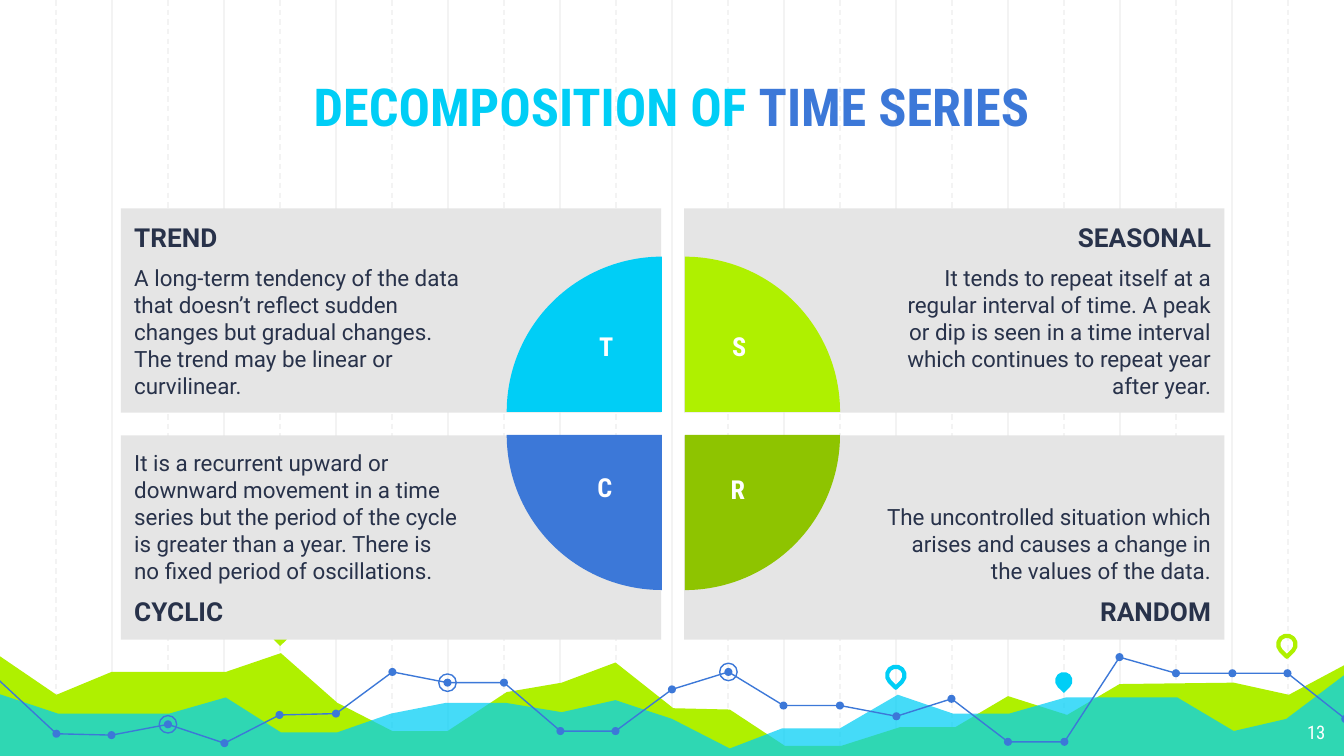
from dataclasses import dataclass

from lxml.etree import SubElement
from pptx import Presentation
from pptx.dml.color import RGBColor
from pptx.enum.dml import MSO_LINE_DASH_STYLE as DASH
from pptx.enum.shapes import MSO_CONNECTOR, MSO_SHAPE as SHAPE
from pptx.enum.text import MSO_ANCHOR as ANCHOR, PP_ALIGN as ALIGN
from pptx.oxml.ns import qn
from pptx.util import Inches, Pt


@dataclass(frozen=True)
class Theme:
    cyan: str = "00CEF6"
    blue: str = "3C78D8"
    lime: str = "AFF000"
    olive: str = "8EC400"
    panel: str = "E5E5E5"
    grid: str = "F3F3F3"
    ink: str = "28324A"
    white: str = "FFFFFF"
    body_font: str = "Roboto"
    head_font: str = "Roboto Condensed"
    title: int = 28
    heading: int = 14
    body: int = 12
    number: int = 10
    thin: float = 0.75
    thick: float = 2.25


class Deck:
    """Draws styled elements on the current slide."""

    def __init__(self, theme):
        self.theme = theme
        self.prs = Presentation()
        self.prs.slide_width, self.prs.slide_height = Inches(10), Inches(5.625)
        self.s = self.prs.slides.add_slide(self.prs.slide_layouts[6])

    def style(self, sp, fill=None, line=None, width=0.75, alpha=None):
        sp.shadow.inherit = False
        if fill:
            sp.fill.solid()
            sp.fill.fore_color.rgb = RGBColor.from_string(fill)
            if alpha:
                color = sp._element.spPr.find(qn("a:solidFill"))[0]
                SubElement(color, qn("a:alpha")).set("val", str(alpha * 1000))
        else:
            sp.fill.background()
        if line:
            sp.line.color.rgb = RGBColor.from_string(line)
            sp.line.width = Pt(width)
        else:
            sp.line.fill.background()
        return sp

    def shape(self, kind, x, y, w, h, rotation=0, **look):
        sp = self.s.shapes.add_shape(kind, Inches(x), Inches(y), Inches(w), Inches(h))
        sp.rotation = rotation
        return self.style(sp, **look)

    def dot(self, center, size, **look):
        x, y = center
        return self.shape(SHAPE.OVAL, x - size / 2, y - size / 2, size, size, **look)

    def pin(self, x, y, **look):
        return self.shape(SHAPE.TEAR, x, y, 0.13, 0.13, rotation=135, **look)

    def outline(self, points, close=True, **look):
        points = [(Inches(x), Inches(y)) for x, y in points]
        builder = self.s.shapes.build_freeform(*points[0])
        builder.add_line_segments(points[1:], close=close)
        return self.style(builder.convert_to_shape(), **look)

    def grid_line(self, x, dashed):
        line = self.s.shapes.add_connector(
            MSO_CONNECTOR.STRAIGHT, Inches(x), Inches(0), Inches(x), Inches(5.65))
        line.line.color.rgb = RGBColor.from_string(self.theme.grid)
        line.line.width = Pt(self.theme.thin)
        if dashed:
            line.line.dash_style = DASH.DASH
        SubElement(line._element.spPr, qn("a:effectLst"))

    def fill_text(self, sp, paragraphs, font, align=ALIGN.LEFT, anchor=ANCHOR.TOP,
                  insets=(0.1, 0.1, 0.1, 0.1)):
        tf = sp.text_frame
        tf.word_wrap = True
        tf.vertical_anchor = anchor
        tf.margin_left, tf.margin_top, tf.margin_right, tf.margin_bottom = map(Inches, insets)
        for i, runs in enumerate(paragraphs):
            p = tf.add_paragraph() if i else tf.paragraphs[0]
            p.alignment = align
            if i:
                p.space_before = p.space_after = Pt(6)
            for text, size, color, bold in runs:
                r = p.add_run()
                r.text = text
                r.font.name, r.font.size, r.font.bold = font, Pt(size), bold
                r.font.color.rgb = RGBColor.from_string(color)

    def text(self, x, y, w, h, runs, **layout):
        sp = self.s.shapes.add_textbox(Inches(x), Inches(y), Inches(w), Inches(h))
        self.fill_text(sp, [runs], self.theme.head_font, **layout)

    def quadrant(self, letter, heading, body, color, right, bottom, rotation, spot):
        t = self.theme
        panel = self.shape(SHAPE.RECTANGLE, 5.09 if right else 0.9,
                           3.24 if bottom else 1.55, 4.02, 1.52, fill=t.panel)
        paragraphs = [[(heading, t.heading, t.ink, True)], [(body, t.body, t.ink, False)]]
        self.fill_text(panel, paragraphs[::-1] if bottom else paragraphs, t.body_font,
                       align=ALIGN.RIGHT if right else ALIGN.LEFT,
                       anchor=ANCHOR.BOTTOM if bottom else ANCHOR.TOP,
                       insets=(1.5, 0.1, 0.1, 0.1) if right else (0.1, 0.1, 1.5, 0.1))
        pie = self.shape(SHAPE.PIE, 3.94 if right else 3.77, 2.08 if bottom else 1.91,
                         2.31, 2.31, rotation=rotation, fill=color)
        pie.adjustments[0], pie.adjustments[1] = 108, 162
        self.text(*spot, 0.28, 0.48, [(letter, t.heading, t.white, True)],
                  align=ALIGN.CENTER, insets=(0, 0.06, 0, 0.05))


LIME_AREA = [
    (-0.02, 4.87), (0.42, 5.17), (0.83, 5), (1.68, 5), (2.09, 4.86), (2.51, 5.23),
    (2.92, 5.44), (3.33, 5.44), (3.77, 5.15), (4.18, 5.08), (4.58, 4.93), (5.01, 5.27),
    (5.43, 5.28), (5.84, 5.55), (6.26, 5.55), (6.7, 5.41), (7.11, 5.41), (7.5, 5.18),
    (7.94, 5.32), (8.33, 5.09), (9.18, 5.08), (9.59, 5.17), (10.02, 4.94),
    (10.01, 5.64), (-0.03, 5.64)]
CYAN_AREA = [
    (-0.02, 5.16), (0.43, 5.31), (1.26, 5.31), (1.68, 5.19), (2.09, 5.45), (2.51, 5.45),
    (2.91, 5.31), (3.32, 5.23), (3.76, 5.23), (4.18, 5.3), (4.58, 5.21), (5, 5.35),
    (5.43, 5.57), (5.82, 5.42), (6.25, 5.42), (6.68, 5.17), (7.09, 5.31), (7.51, 5.31),
    (7.93, 5.19), (8.76, 5.19), (9.18, 5.44), (9.57, 5.35), (10.02, 5.01),
    (10.02, 5.65), (-0.03, 5.65)]
TREND_LINE = [
    (-0.01, 5.06), (0.42, 5.46), (0.83, 5.47), (1.25, 5.39), (1.67, 5.53), (2.08, 5.32),
    (2.5, 5.31), (2.92, 5), (3.33, 5.08), (3.75, 5.08), (4.17, 5.44), (4.58, 5.44),
    (5, 5.13), (5.42, 5), (5.83, 5.25), (6.25, 5.25), (6.67, 5.33), (7.08, 5.2),
    (7.5, 5.52), (7.92, 5.52), (8.33, 4.89), (8.75, 5.01), (9.17, 5.01), (9.58, 5.01),
    (10.01, 5.35)]
RINGED = (3, 8, 13)


def main():
    t = Theme()
    deck = Deck(t)

    for i in range(1, 24):
        deck.grid_line(i * 10 / 24, dashed=i % 2 == 1)
    deck.outline(LIME_AREA, fill=t.lime)
    deck.outline(CYAN_AREA, fill=t.cyan, alpha=73)
    deck.pin(2.02, 4.65, fill=t.lime)
    deck.pin(6.6, 4.96, line=t.cyan, width=t.thick)
    deck.pin(7.85, 5, fill=t.cyan)
    deck.pin(9.51, 4.73, line=t.lime, width=t.thick)
    deck.outline(TREND_LINE, close=False, line=t.blue, width=t.thin)
    for point in TREND_LINE[1:]:
        deck.dot(point, 0.06, fill=t.blue)
    for i in RINGED:
        deck.dot(TREND_LINE[i], 0.13, line=t.blue, width=t.thin)

    deck.text(1.17, 0.43, 7.65, 0.78,
              [("DECOMPOSITION OF ", t.title, t.cyan, True),
               ("TIME SERIES", t.title, t.blue, True)],
              align=ALIGN.CENTER, anchor=ANCHOR.MIDDLE, insets=(0.1, 0.1, 0.1, 0.17))
    deck.text(9.36, 5.28, 0.6, 0.35, [("13", t.number, t.white, False)], align=ALIGN.RIGHT)

    deck.quadrant("T", "TREND", "A long-term tendency of the data that doesn’t reflect sudden "
                  "changes but gradual changes. The trend may be linear or curvilinear.",
                  t.cyan, right=False, bottom=False, rotation=0, spot=(4.37, 2.4))
    deck.quadrant("S", "SEASONAL", "It tends to repeat itself at a regular interval of time. "
                  "A peak or dip is seen in a time interval which continues to repeat year "
                  "after year.",
                  t.lime, right=True, bottom=False, rotation=90, spot=(5.36, 2.4))
    deck.quadrant("C", "CYCLIC", "It is a recurrent upward or downward movement in a time "
                  "series but the period of the cycle is greater than a year. There is no "
                  "fixed period of oscillations.",
                  t.blue, right=False, bottom=True, rotation=270, spot=(4.36, 3.45))
    deck.quadrant("R", "RANDOM", "The uncontrolled situation which arises and causes a change "
                  "in the values of the data.",
                  t.olive, right=True, bottom=True, rotation=180, spot=(5.35, 3.46))
    deck.prs.save("out.pptx")


if __name__ == "__main__":
    main()
